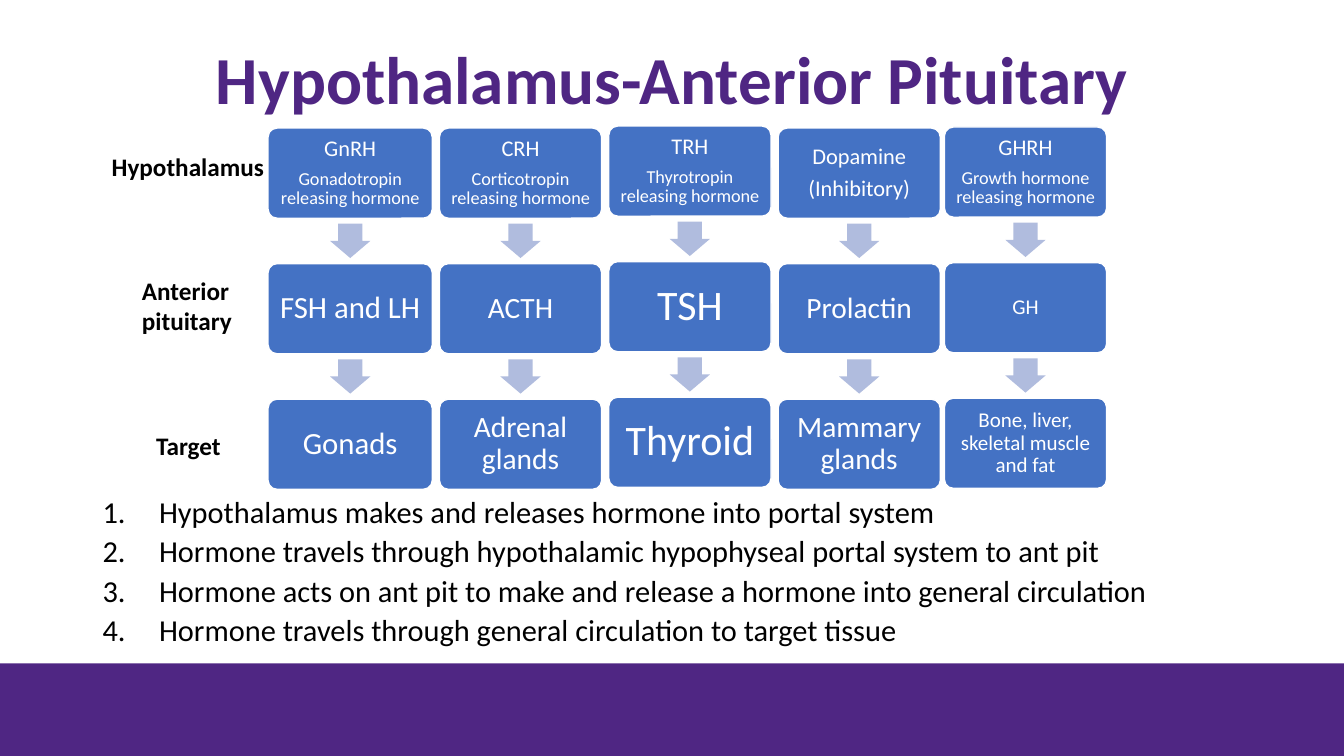
from lxml import etree
from pptx import Presentation
from pptx.dml.color import RGBColor
from pptx.enum.shapes import MSO_SHAPE
from pptx.enum.text import MSO_ANCHOR, PP_ALIGN
from pptx.oxml.ns import qn
from pptx.util import Pt

PX = 4572
FONT = "Calibri"
PURPLE = RGBColor(0x4F, 0x26, 0x83)
BLUE = RGBColor(0x44, 0x72, 0xC4)
PALE_BLUE = RGBColor(0xB0, 0xBC, 0xDE)
WHITE = RGBColor(0xFF, 0xFF, 0xFF)
BLACK = RGBColor(0, 0, 0)
RECT, ROUND_RECT = MSO_SHAPE.RECTANGLE, MSO_SHAPE.ROUNDED_RECTANGLE
DOWN_ARROW = MSO_SHAPE.DOWN_ARROW
MIDDLE, TOP = MSO_ANCHOR.MIDDLE, MSO_ANCHOR.TOP
CENTER, LEFT = PP_ALIGN.CENTER, PP_ALIGN.LEFT

BOX_H, ROW_PITCH = 179, 269
ARROW_TOP, ARROW_W, ARROW_H = 190, 80, 68

AXES = [
    (532, 254, 326, [("GnRH", 16), ("Gonadotropin releasing hormone", 13)],
     "FSH and LH", "Gonads", 22),
    (872, 254, 322, [("CRH", 16), ("Corticotropin releasing hormone", 13)],
     "ACTH", "Adrenal glands", 21),
    (1208, 250, 322, [("TRH", 16), ("Thyrotropin releasing hormone", 13)],
     "TSH", "Thyroid", 30),
    (1544, 254, 322, [("Dopamine", 16), ("(Inhibitory)", 16)],
     "Prolactin", "Mammary glands", 21),
    (1874, 252, 322, [("GHRH", 16), ("Growth hormone releasing hormone", 13)],
     "GH", "Bone, liver, skeletal muscle and fat", 15),
]
ROW_LABELS = [
    (202, 290, 344, 80, "Hypothalamus"),
    (262, 536, 226, 142, "Anterior\npituitary"),
    (290, 844, 170, 80, "Target"),
]
STEPS = [
    "Hypothalamus makes and releases hormone into portal system",
    "Hormone travels through hypothalamic hypophyseal portal system to ant pit",
    "Hormone acts on ant pit to make and release a hormone into general circulation",
    "Hormone travels through general circulation to target tissue",
]


def add_block(s, kind, x, y, w, h, fill):
    """Add a filled preset shape without shadow or outline."""
    sp = s.shapes.add_shape(kind, x * PX, y * PX, w * PX, h * PX)
    sp.shadow.inherit = False
    sp.fill.solid()
    sp.fill.fore_color.rgb = fill
    sp.line.fill.background()
    return sp


def add_text(s, x, y, w, h, text, anchor=TOP, wrap=True):
    """Add a text box and return its text frame."""
    tf = s.shapes.add_textbox(x * PX, y * PX, w * PX, h * PX).text_frame
    tf.word_wrap = wrap
    tf.vertical_anchor = anchor
    tf.text = text
    return tf


def style(p, size, color, bold=False, align=LEFT, spacing=1.0):
    """Format a paragraph and its runs."""
    p.alignment = align
    p.line_spacing = spacing
    for r in p.runs:
        r.font.name = FONT
        r.font.size = Pt(size)
        r.font.bold = bold
        r.font.color.rgb = color


def add_title(s, x, y, w, h):
    """Add the centred heading."""
    tf = add_text(s, x, y, w, h, "Hypothalamus-Anterior Pituitary", MIDDLE)
    style(tf.paragraphs[0], 48, PURPLE, True, CENTER, 0.9)


def add_hormone_box(s, x, y, w, h, lines):
    """Add a rounded box holding (text, size) lines."""
    sp = add_block(s, ROUND_RECT, x, y, w, h, BLUE)
    sp.adjustments[0] = 0.1
    sp.line.color.rgb = WHITE
    sp.line.width = Pt(1)
    tf = sp.text_frame
    tf.word_wrap = True
    tf.vertical_anchor = MIDDLE
    inset = int(lines[0][1] * 0.75) * PX
    tf.margin_left = tf.margin_right = tf.margin_top = tf.margin_bottom = inset
    tf.text = "\n".join(text for text, _ in lines)
    for p, (_, size) in zip(tf.paragraphs, lines):
        style(p, size, WHITE, align=CENTER, spacing=0.9)
    for p in tf.paragraphs[:-1]:
        p.space_after = Pt(5.6)


def add_axis(s, x, y, w, stages):
    """Add one column of hormone boxes joined by arrows."""
    for row, lines in enumerate(stages):
        top = y + row * ROW_PITCH
        add_hormone_box(s, x, top, w, BOX_H, lines)
        if row < len(stages) - 1:
            arrow = add_block(s, DOWN_ARROW, x + (w - ARROW_W) // 2,
                              top + ARROW_TOP, ARROW_W, ARROW_H, PALE_BLUE)
            arrow.adjustments[0] = 0.6
            arrow.adjustments[1] = 0.5


def add_row_label(s, x, y, w, h, text):
    """Add a bold label beside a row of boxes."""
    for p in add_text(s, x, y, w, h, text, wrap=False).paragraphs:
        style(p, 18, BLACK, True)


def add_steps(s, x, y, w, h):
    """Add the numbered list of steps."""
    tf = add_text(s, x, y, w, h, "\n".join(STEPS))
    for i, p in enumerate(tf.paragraphs):
        pPr = p._p.get_or_add_pPr()
        pPr.set("marL", str(112 * PX))
        pPr.set("indent", str(-112 * PX))
        etree.SubElement(pPr, qn("a:buFont"), typeface="+mj-lt")
        etree.SubElement(pPr, qn("a:buAutoNum"), type="arabicPeriod")
        style(p, 21.7, BLACK, spacing=0.7)
        if i:
            p.space_before = Pt(10)


def main():
    """Build the slide and save it."""
    prs = Presentation()
    prs.slide_width, prs.slide_height = 2667 * PX, 1500 * PX
    s = prs.slides.add_slide(prs.slide_layouts[6])
    add_title(s, 184, 44, 2300, 240)
    add_block(s, RECT, 0, 1316, 2667, 184, PURPLE)
    for x, y, w, releasing, pituitary, target, size in AXES:
        add_axis(s, x, y, w, [releasing, [(pituitary, size)], [(target, size)]])
    add_steps(s, 184, 988, 2300, 326)
    for label in ROW_LABELS:
        add_row_label(s, *label)
    prs.save("out.pptx")


if __name__ == "__main__":
    main()
